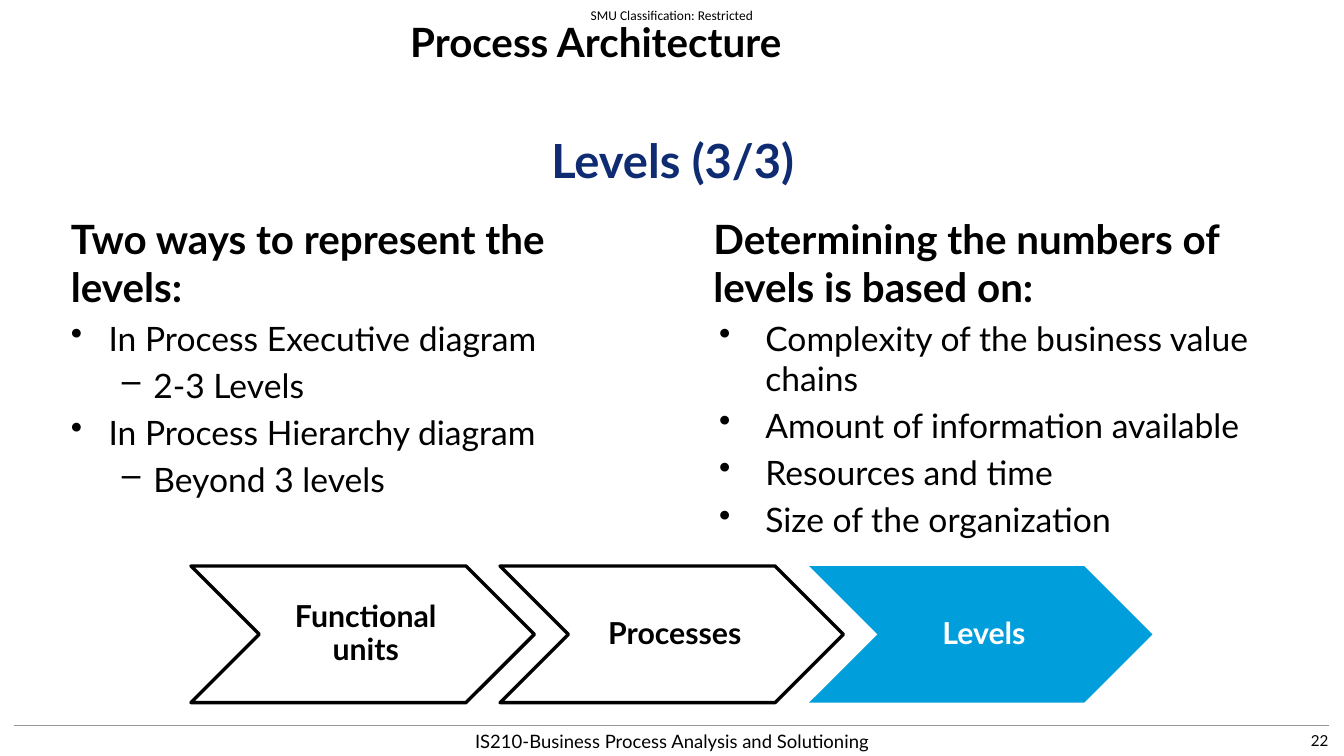
import pptx
import pptx.dml.color
import pptx.enum.shapes
import pptx.enum.text
import pptx.util
from lxml import etree
from pptx.oxml.ns import qn

Cm, Pt = pptx.util.Cm, pptx.util.Pt
ALIGN = pptx.enum.text.PP_ALIGN
ANCHOR = pptx.enum.text.MSO_ANCHOR

BLACK, WHITE, NAVY, BLUE, GREY = "000000", "FFFFFF", "0F2B72", "009EDB", "969696"

# text, (left, top, width, height) in cm, size, bold, colour, font, alignment, anchor
LABELS = [
    ("SMU Classification: Restricted", (11.04, 0, 6.14, 0.64), 8, False, BLACK, "Calibri",
     ALIGN.CENTER, ANCHOR.MIDDLE),
    ("Process Architecture", (6.02, 0.23, 12.98, 2.31), 24, True, BLACK, "Lato",
     ALIGN.CENTER, ANCHOR.TOP),
    ("Levels (3/3)", (4.98, 2.62, 18.29, 1.45), 28, True, NAVY, "Lato",
     ALIGN.CENTER, ANCHOR.MIDDLE),
    ("IS210-Business Process Analysis and Solutioning", (7.7, 15.14, 12.83, 0.84), 11, False,
     BLACK, "Lato", ALIGN.CENTER, ANCHOR.MIDDLE),
    ("22", (21.79, 15.14, 6.35, 0.84), 9, False, BLACK, "Lato",
     ALIGN.RIGHT, ANCHOR.MIDDLE),
]

# bullet, left margin and first-line indent in cm
DOT, DASH, WIDE_DOT = ("•", 0.79, -0.79), ("–", 1.73, -0.66), ("•", 1.09, -0.97)

# box, heading, items as (text, level, bullet style)
COLUMNS = [
    ((1.24, 4.37, 12.27, 7.65), "Two ways to represent the levels:", [
        ("In Process Executive diagram", 0, DOT),
        ("2-3 Levels", 1, DASH),
        ("In Process Hierarchy diagram", 0, DOT),
        ("Beyond 3 levels", 1, DASH),
    ]),
    ((14.73, 4.37, 12.27, 7.26), "Determining the numbers of levels is based on:", [
        ("Complexity of the business value chains", 0, WIDE_DOT),
        ("Amount of information available", 0, WIDE_DOT),
        ("Resources and time", 0, WIDE_DOT),
        ("Size of the organization", 0, WIDE_DOT),
    ]),
]

# text, fill, outline, text colour
STEPS = [
    ("Functional units", WHITE, BLACK, BLACK),
    ("Processes", WHITE, BLACK, BLACK),
    ("Levels", BLUE, None, WHITE),
]
STEP_LEFT, STEP_TOP, STEP_WIDTH, STEP_HEIGHT, STEP_PITCH = 4.01, 11.89, 7.21, 2.87, 6.49

RULE = (0.3, 27.91, 15.24)


def colour(value):
    return pptx.dml.color.RGBColor.from_string(value)


def apply(target, values):
    for name, value in values.items():
        setattr(target, name, value)


def write(para, text, size, bold, ink=BLACK, font="Lato", **layout):
    """Put one run of text into a paragraph, with its font and paragraph layout."""
    apply(para, layout)
    span = para.add_run()
    span.text = text
    apply(span.font, {"name": font, "size": Pt(size), "bold": bold})
    span.font.color.rgb = colour(ink)


def add_bullet(para, mark, margin, indent):
    props = para._p.get_or_add_pPr()
    props.set("marL", str(Cm(margin)))
    props.set("indent", str(Cm(indent)))
    etree.SubElement(props, qn("a:buChar")).set("char", mark)


def add_box(page, area, anchor=ANCHOR.TOP):
    frame = page.shapes.add_textbox(*map(Cm, area)).text_frame
    apply(frame, {"word_wrap": True, "vertical_anchor": anchor})
    return frame


def add_rule(page):
    left, right, height = map(Cm, RULE)
    rule = page.shapes.add_connector(
        pptx.enum.shapes.MSO_CONNECTOR.STRAIGHT, left, height, right, height)
    rule.line.color.rgb = colour(GREY)
    rule.line.width = Pt(0.75)
    etree.SubElement(rule._element.spPr, qn("a:effectLst"))


def add_column(page, area, heading, items):
    frame = add_box(page, area)
    write(frame.paragraphs[0], heading, 24, True)
    for text, level, style in items:
        para = frame.add_paragraph()
        add_bullet(para, *style)
        write(para, text, 20, False, level=level, space_before=Pt(4))


def add_step(page, index, text, fill, outline, ink):
    step = page.shapes.add_shape(
        pptx.enum.shapes.MSO_SHAPE.CHEVRON, Cm(STEP_LEFT + index * STEP_PITCH),
        Cm(STEP_TOP), Cm(STEP_WIDTH), Cm(STEP_HEIGHT))
    step.shadow.inherit = False
    step.fill.solid()
    step.fill.fore_color.rgb = colour(fill)
    if outline:
        step.line.color.rgb = colour(outline)
        step.line.width = Pt(2)
    else:
        step.line.fill.background()
    frame = step.text_frame
    apply(frame, {"word_wrap": True, "vertical_anchor": ANCHOR.MIDDLE,
                  "margin_left": Cm(0.2), "margin_right": Cm(0.07),
                  "margin_top": Cm(0.07), "margin_bottom": Cm(0.07)})
    write(frame.paragraphs[0], text, 18, True, ink,
          alignment=ALIGN.CENTER, line_spacing=0.9)


def main():
    deck = pptx.Presentation()
    apply(deck, {"slide_width": Cm(28.22), "slide_height": Cm(15.88)})
    page = deck.slides.add_slide(deck.slide_layouts[6])
    add_rule(page)
    for text, area, size, bold, ink, font, alignment, anchor in LABELS:
        frame = add_box(page, area, anchor)
        write(frame.paragraphs[0], text, size, bold, ink, font, alignment=alignment)
    for column in COLUMNS:
        add_column(page, *column)
    for index, step in enumerate(STEPS):
        add_step(page, index, *step)
    deck.save("out.pptx")


if __name__ == "__main__":
    main()
